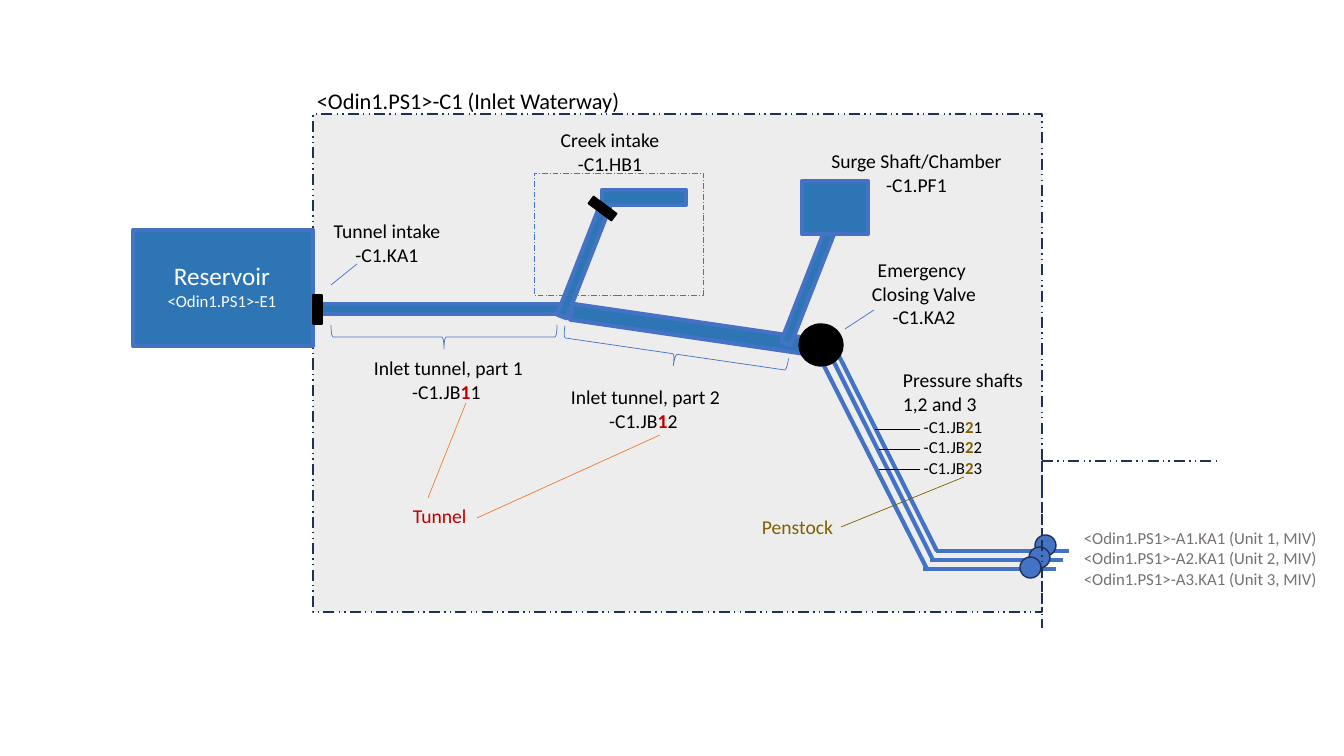
from collections import namedtuple

from lxml.etree import SubElement
from pptx import Presentation
from pptx.dml.color import RGBColor
from pptx.enum.dml import MSO_LINE
from pptx.enum.shapes import MSO_CONNECTOR, MSO_SHAPE
from pptx.enum.text import MSO_ANCHOR, PP_ALIGN
from pptx.oxml.ns import qn
from pptx.util import Pt

PX = 914400 / 100.8
FONT = "Calibri"
WHITE = RGBColor(0xFF, 0xFF, 0xFF)
BLACK = RGBColor(0, 0, 0)
PALE_GRAY = RGBColor(0xED, 0xED, 0xED)
TEXT_GRAY = RGBColor(0x76, 0x71, 0x71)
WATER = RGBColor(0x2E, 0x75, 0xB6)
BLUE = RGBColor(0x44, 0x72, 0xC4)
NAVY = RGBColor(0x1E, 0x32, 0x56)
RED = RGBColor(0xC0, 0, 0)
ORANGE = RGBColor(0xED, 0x7D, 0x31)
OLIVE = RGBColor(0x80, 0x60, 0)

Box = namedtuple("Box", "left top width height")


def px(length):
    return round(length * PX)


def inside(box, left, top, width, height):
    """Box placed relative to the corner of another box."""
    return Box(box.left + left, box.top + top, width, height)


def add_block(page, box, kind=MSO_SHAPE.RECTANGLE, fill=None, line=BLACK,
              weight=1, dash=None, rotation=0):
    shape = page.shapes.add_shape(kind, *map(px, box))
    shape.shadow.inherit = False
    shape.rotation = rotation
    if fill is None:
        shape.fill.background()
    else:
        shape.fill.solid()
        shape.fill.fore_color.rgb = fill
    shape.line.color.rgb = line
    shape.line.width = Pt(weight)
    if dash:
        shape.line.dash_style = dash
    return shape


def add_water(page, box, rotation=0):
    return add_block(page, box, fill=WATER, line=BLUE, weight=3, rotation=rotation)


def add_line(page, box, start, end, color=BLUE, weight=0.5, dash=None):
    points = [box.left + start[0], box.top + start[1], box.left + end[0], box.top + end[1]]
    line = page.shapes.add_connector(MSO_CONNECTOR.STRAIGHT, *map(px, points))
    line.line.color.rgb = color
    line.line.width = Pt(weight)
    if dash:
        line.line.dash_style = dash
    SubElement(line._element.spPr, qn("a:effectLst"))


def add_text(page, box, paragraphs, size=14, color=BLACK, align=PP_ALIGN.CENTER):
    """Each paragraph is a string or a list of (text, format) spans."""
    frame = page.shapes.add_textbox(*map(px, box)).text_frame
    frame.word_wrap = False
    frame.vertical_anchor = MSO_ANCHOR.TOP
    for index, spans in enumerate(paragraphs):
        para = frame.paragraphs[0] if index == 0 else frame.add_paragraph()
        para.alignment = align
        if isinstance(spans, str):
            spans = [(spans, {})]
        for text, style in spans:
            span = para.add_run()
            span.text = text
            span.font.name = FONT
            span.font.size = Pt(style.get("size", size))
            span.font.bold = style.get("bold", False)
            span.font.color.rgb = style.get("color", color)


def code(group, number, color):
    """Designation whose group digit stands out."""
    return [("-C1.JB", {}), (group, {"color": color, "bold": True}), (number, {})]


def draw_waterway(page, box):
    add_block(page, box, fill=PALE_GRAY, line=NAVY, dash=MSO_LINE.DASH_DOT_DOT)
    add_text(page, inside(box, -6, -32, 327, 37), ["<Odin1.PS1>-C1 (Inlet Waterway)"],
             size=16, align=PP_ALIGN.LEFT)


def draw_reservoir(page, box):
    add_water(page, box)
    add_text(page, inside(box, 24, 25, 130, 61),
             ["Reservoir", [("<Odin1.PS1>-E1", {"size": 12})]], size=18, color=WHITE)


def draw_tunnels(page, box):
    # Both tunnel parts and the intake gate
    add_water(page, inside(box, 0, 100, 256, 10))
    add_water(page, inside(box, 257, 119, 266, 16), rotation=8.3)
    add_block(page, inside(box, 0, 91, 9, 29), fill=BLACK)
    for left, top, rotation in ((119, 20, 270), (350, 37, 278.3)):
        add_block(page, inside(box, left, top, 24, 226), kind=MSO_SHAPE.LEFT_BRACE,
                  line=BLUE, weight=0.5, rotation=rotation)
    # Labels
    add_text(page, inside(box, 10, 10, 128, 57), ["Tunnel intake", "-C1.KA1"])
    add_line(page, box, (18, 81), (44, 60))
    for left, top, number in ((50, 147, "1"), (247, 176, "2")):
        add_text(page, inside(box, left, top, 171, 57),
                 [f"Inlet tunnel, part {number}", code("1", number + " ", RED)])
    add_text(page, inside(box, 90, 295, 79, 34), ["Tunnel"], color=RED, align=PP_ALIGN.LEFT)
    add_line(page, box, (153, 199), (115, 294), ORANGE)
    add_line(page, box, (164, 314), (347, 231), ORANGE)


def draw_creek_intake(page, box):
    add_water(page, inside(box, -10, 83, 119, 10), rotation=291.4)
    add_water(page, inside(box, 68, 17, 84, 15))
    add_block(page, inside(box, 64, 21, 9, 29), fill=BLACK, rotation=306.8)
    add_block(page, box, line=BLUE, weight=0.5, dash=MSO_LINE.LONG_DASH_DOT)
    add_text(page, inside(box, 16, -50, 120, 57), ["Creek intake", "-C1.HB1"])


def draw_surge_chamber(page, box):
    add_water(page, inside(box, -54, 102, 119, 10), rotation=291.4)
    add_water(page, box)
    add_text(page, inside(box, 18, -37, 193, 57), ["Surge Shaft/Chamber", "-C1.PF1"])


def draw_closing_valve(page, box):
    add_block(page, box, kind=MSO_SHAPE.OVAL, fill=BLACK)
    add_text(page, inside(box, 62, -71, 126, 81), ["Emergency ", "Closing Valve", "-C1.KA2"])
    add_line(page, box, (46, 5), (75, -14))


def draw_penstocks(page, box):
    # Sloping shafts and their level ends
    for start, bend, level, depth in ((0, 113, 109, 223), (12, 119, 116, 214), (20, 123, 122, 205)):
        add_line(page, box, (start, 0), (bend, depth), weight=3)
        add_line(page, box, (level, depth), (level + 133, depth), weight=3)
    # Labels
    add_text(page, inside(box, 79, 17, 146, 57), ["Pressure shafts", "1,2 and 3"],
             align=PP_ALIGN.LEFT)
    add_text(page, inside(box, 99, 66, 80, 72),
             [code("2", number, OLIVE) for number in "123"], size=12)
    for index, end in enumerate((61, 65, 65)):
        height = 83 + 20 * index
        add_line(page, box, (106, height), (end, height), BLACK)
    add_text(page, inside(box, -62, 164, 97, 34), ["Penstock"], color=OLIVE,
             align=PP_ALIGN.LEFT)
    add_line(page, box, (27, 181), (150, 131), OLIVE)


def draw_units(page, box):
    for left, top in ((-7, 74), (-13, 86), (-22, 96)):
        add_block(page, inside(box, left, top, 21, 21), kind=MSO_SHAPE.OVAL,
                  fill=BLUE, line=NAVY)
    for end in ((box.width, 0), (0, box.height)):
        add_line(page, box, (0, 0), end, NAVY, 1, MSO_LINE.DASH_DOT_DOT)
    add_text(page, inside(box, 32, 62, 256, 72),
             [f"<Odin1.PS1>-A{unit}.KA1 (Unit {unit}, MIV)" for unit in (1, 2, 3)],
             size=12, color=TEXT_GRAY, align=PP_ALIGN.LEFT)


def main():
    deck = Presentation()
    deck.slide_width, deck.slide_height = px(1344), px(756)
    page = deck.slides.add_slide(deck.slide_layouts.get_by_name("Blank"))
    draw_waterway(page, Box(313, 114, 729, 498))
    draw_reservoir(page, Box(133, 230, 180, 116))
    draw_tunnels(page, Box(313, 204, 530, 332))
    draw_penstocks(page, Box(814, 346, 255, 223))
    draw_creek_intake(page, Box(534, 173, 169, 122))
    draw_surge_chamber(page, Box(802, 181, 66, 53))
    draw_closing_valve(page, Box(799, 324, 44, 42))
    draw_units(page, Box(1042, 461, 175, 167))
    deck.save("out.pptx")


if __name__ == "__main__":
    main()
